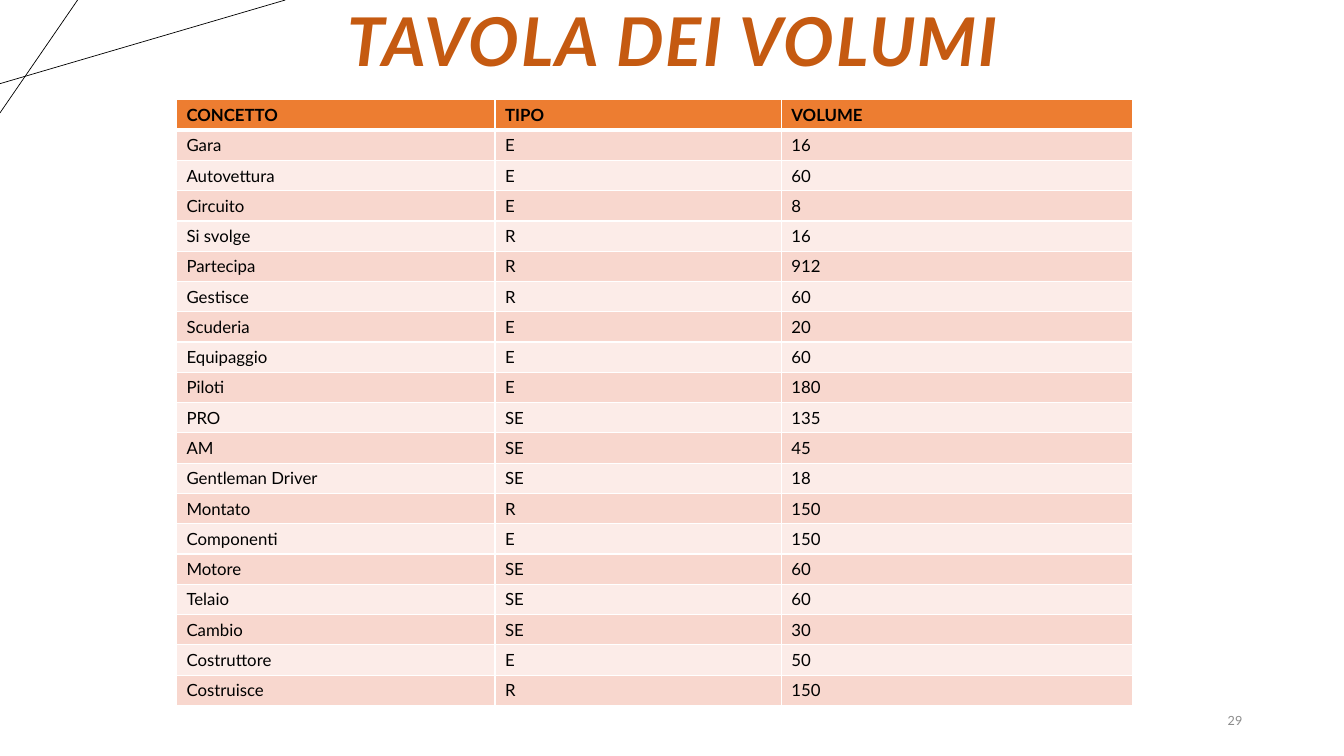
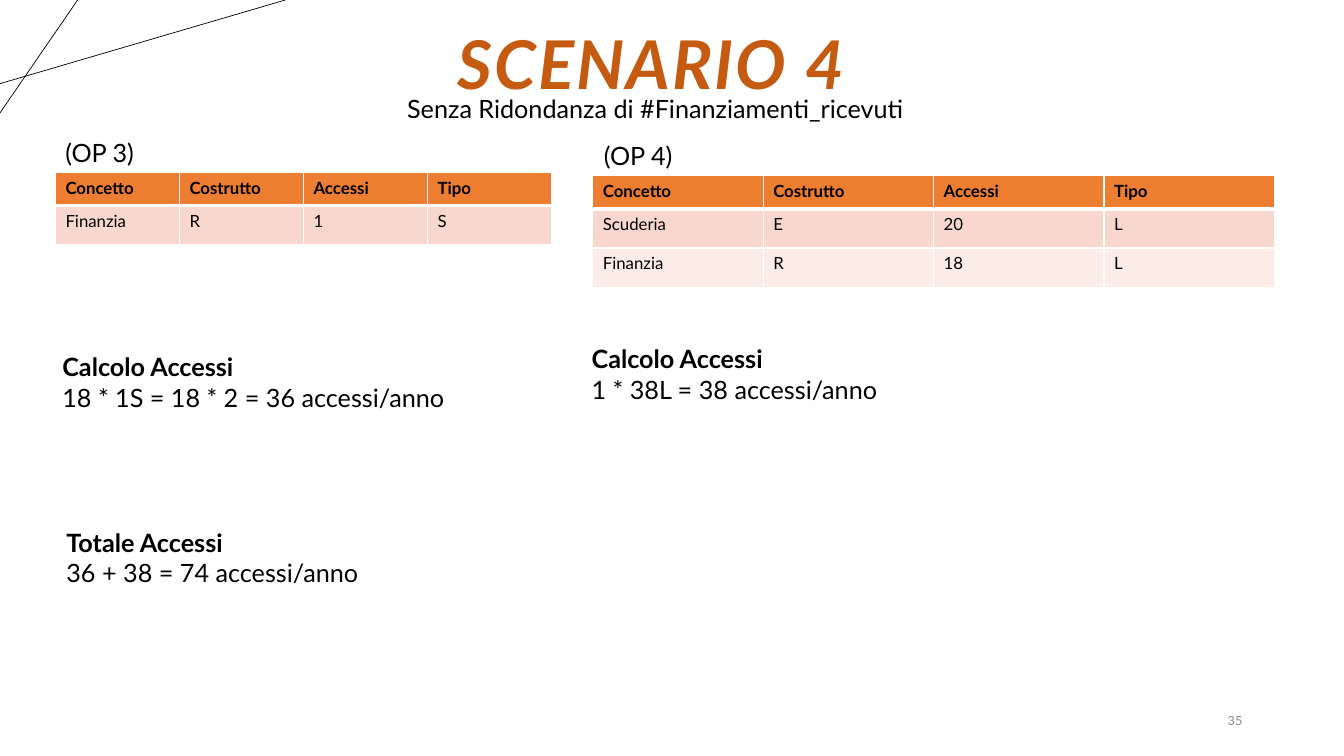
from lxml.etree import SubElement
from pptx import Presentation
from pptx.dml.color import RGBColor
from pptx.enum.shapes import MSO_CONNECTOR
from pptx.enum.text import MSO_ANCHOR, PP_ALIGN
from pptx.oxml.ns import qn
from pptx.util import Inches, Pt

FONT = "Lato"
COLORS = {
    "text": "000000",
    "title": "C55A11",
    "number": "8C8C8C",
    "header": "ED7D31",
    "odd": "F8D7CE",
    "even": "FCECE8",
    "border": "FFFFFF",
}
CORNER_LINES = [((0, 0.83), (2.83, 0)), ((0.77, 0), (0, 1.12))]

ACCESS_HEADER = ("Concetto", "Costrutto", "Accessi", "Tipo")
SLIDES = [
    {
        "title": ("TAVOLA DEI VOLUMI", (0.92, 0, 11.51, 0.89)),
        "number": "29",
        "texts": [],
        "tables": [
            {
                "at": (1.75, 0.99),
                "columns": (3.16, 2.84, 3.48),
                "heights": (0.3, 0.3),
                "rows": [
                    ("CONCETTO", "TIPO", "VOLUME"),
                    ("Gara", "E", "16"),
                    ("Autovettura", "E", "60"),
                    ("Circuito", "E", "8"),
                    ("Si svolge", "R", "16"),
                    ("Partecipa", "R", "912"),
                    ("Gestisce", "R", "60"),
                    ("Scuderia", "E", "20"),
                    ("Equipaggio", "E", "60"),
                    ("Piloti", "E", "180"),
                    ("PRO", "SE", "135"),
                    ("AM", "SE", "45"),
                    ("Gentleman Driver", "SE", "18"),
                    ("Montato", "R", "150"),
                    ("Componenti", "E", "150"),
                    ("Motore", "SE", "60"),
                    ("Telaio", "SE", "60"),
                    ("Cambio", "SE", "30"),
                    ("Costruttore", "E", "50"),
                    ("Costruisce", "R", "150"),
                ],
            },
        ],
    },
    {
        "title": ("SCENARIO 4", (4.41, 0.13, 4.1, 1.09)),
        "number": "35",
        "texts": [
            ((3.94, 0.88, 5.44, 0.4), None, "Senza Ridondanza di #Finanziamenti_ricevuti"),
            ((0.55, 1.31, 4.02, 0.4), None, "(OP 3)"),
            ((5.89, 1.34, 4.02, 0.4), None, "(OP 4)"),
            ((0.52, 3.44, 4.06, 1.62), "Calcolo Accessi", "18 * 1S = 18 * 2 = 36 accessi/anno"),
            ((5.77, 3.36, 3.96, 1.62), "Calcolo Accessi", "1 * 38L = 38 accessi/anno"),
            ((0.56, 5.18, 3.45, 1.01), "Totale Accessi", "36 + 38 = 74 accessi/anno"),
        ],
        "tables": [
            {
                "at": (0.55, 1.71),
                "columns": (1.23,) * 4,
                "heights": (0.33, 0.39),
                "rows": [ACCESS_HEADER, ("Finanzia", "R", "1", "S")],
            },
            {
                "at": (5.88, 1.74),
                "columns": (1.69,) * 4,
                "heights": (0.33, 0.39),
                "rows": [
                    ACCESS_HEADER,
                    ("Scuderia", "E", "20", "L"),
                    ("Finanzia", "R", "18", "L"),
                ],
            },
        ],
    },
]


def color(name):
    return RGBColor.from_string(COLORS[name])


def style(paragraph, size, color_name="text", bold=False, italic=False):
    font = paragraph.font
    font.name, font.size = FONT, Pt(size)
    font.bold, font.italic = bold, italic
    font.color.rgb = color(color_name)


def add_text(slide, box, lines, anchor=MSO_ANCHOR.TOP):
    frame = slide.shapes.add_textbox(*map(Inches, box)).text_frame
    frame.word_wrap = True
    frame.vertical_anchor = anchor
    frame.text = "\n".join(lines)
    return frame.paragraphs


def add_title(slide, text, box):
    paragraph = add_text(slide, box, [text], MSO_ANCHOR.MIDDLE)[0]
    style(paragraph, 48, "title", bold=True, italic=True)
    paragraph.alignment = PP_ALIGN.CENTER
    paragraph.line_spacing = 0.9
    paragraph.runs[0]._r.get_or_add_rPr().set("spc", "150")


def add_number(slide, number):
    paragraph = add_text(slide, (9.42, 6.95, 3, 0.4), [number], MSO_ANCHOR.MIDDLE)[0]
    style(paragraph, 9, "number")
    paragraph.alignment = PP_ALIGN.RIGHT


def add_body(slide, box, heading, text):
    lines = [heading, text] if heading else [text]
    for line, paragraph in zip(lines, add_text(slide, box, lines)):
        style(paragraph, 18, bold=line == heading)


def add_corner_lines(slide):
    for start, end in CORNER_LINES:
        line = slide.shapes.add_connector(MSO_CONNECTOR.STRAIGHT, *map(Inches, start + end))
        line.line.color.rgb = color("text")
        line.line.width = Pt(0.5)
        SubElement(line._element.spPr, qn("a:effectLst"))


def add_borders(cell, top, bottom):
    properties = cell._tc.get_or_add_tcPr()
    for side, width in (("L", 1), ("R", 1), ("T", top), ("B", bottom)):
        border = SubElement(properties, qn(f"a:ln{side}"), w=str(Pt(width)))
        fill = SubElement(border, qn("a:solidFill"))
        SubElement(fill, qn("a:srgbClr"), val=COLORS["border"])


def add_table(slide, at, columns, heights, rows):
    header_height, row_height = heights
    size = (sum(columns), header_height + row_height * (len(rows) - 1))
    table = slide.shapes.add_table(len(rows), len(columns), *map(Inches, at + size)).table
    for column, width in zip(table.columns, columns):
        column.width = Inches(width)
    for index, values in enumerate(rows):
        is_header = index == 0
        table.rows[index].height = Inches(header_height if is_header else row_height)
        fill_name = "header" if is_header else "odd" if index % 2 else "even"
        for cell, value in zip(table.rows[index].cells, values):
            cell.text = value
            style(cell.text_frame.paragraphs[0], 12, bold=is_header)
            add_borders(cell, 3 if index == 1 else 1, 3 if is_header else 1)
            cell.fill.solid()
            cell.fill.fore_color.rgb = color(fill_name)


def main():
    presentation = Presentation()
    presentation.slide_width, presentation.slide_height = Inches(13.33), Inches(7.5)
    for content in SLIDES:
        slide = presentation.slides.add_slide(presentation.slide_layouts[6])
        add_corner_lines(slide)
        add_title(slide, *content["title"])
        for table in content["tables"]:
            add_table(slide, **table)
        for text in content["texts"]:
            add_body(slide, *text)
        add_number(slide, content["number"])
    presentation.save("out.pptx")


if __name__ == "__main__":
    main()
